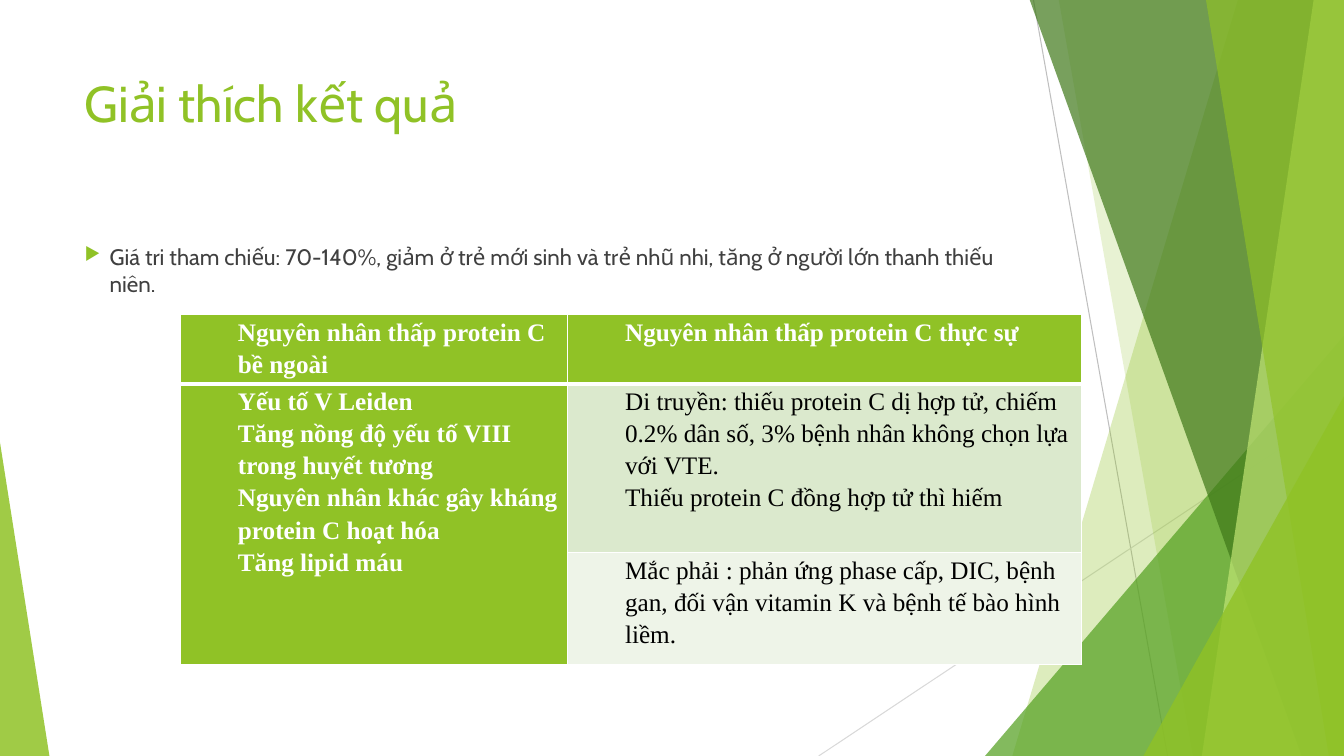
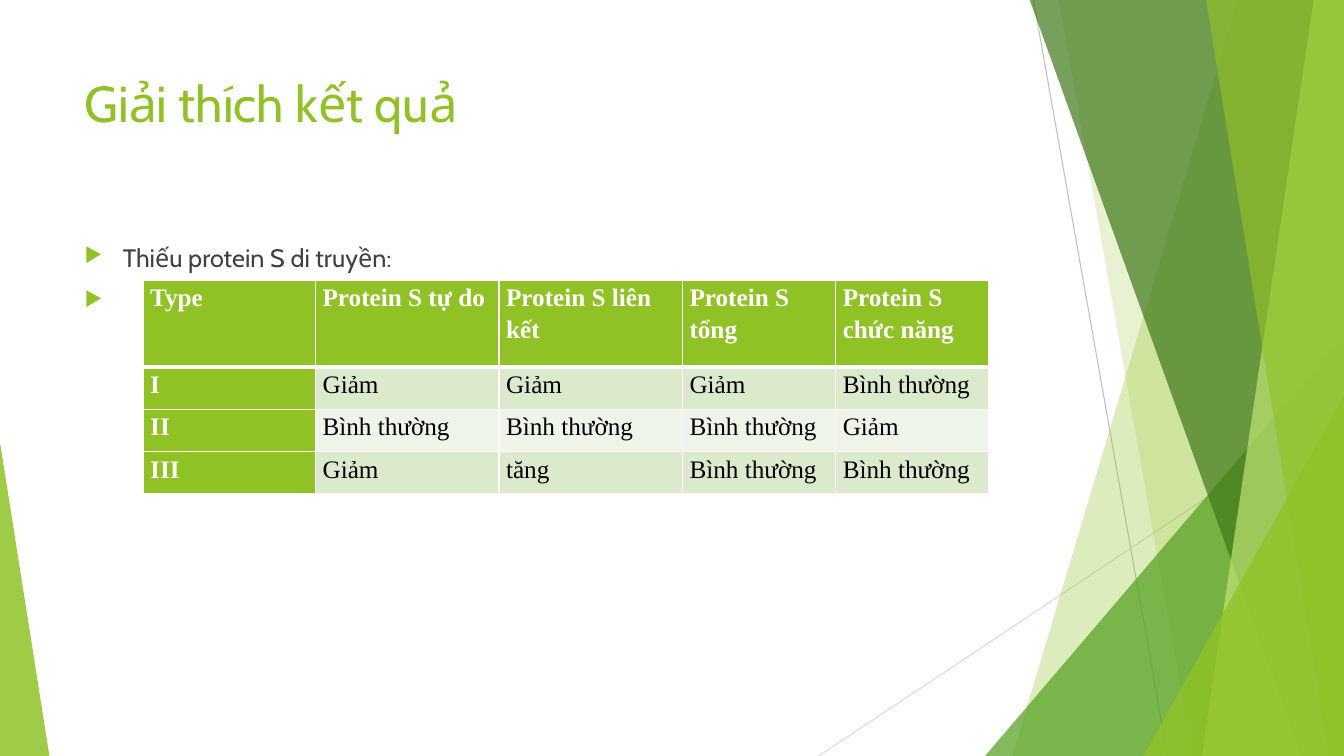
from lxml import etree
from pptx import Presentation, util as u
from pptx.dml.color import RGBColor
from pptx.enum import shapes, text
from pptx.oxml.ns import qn

PX = 9144  # EMU per px, 100 px to the inch


class Theme:
    lime, leaf, moss, pale = "90C226", "54A021", "3F7819", "C0E474"
    white, black, ink = "FFFFFF", "000000", "404040"
    bands = ("DBE9CD", "EEF4E8")
    sans, serif = "Cabin", "Times New Roman"
    title, body, small = 36, 18, 16


def px(n):
    return u.Emu(n * PX)


def sub(node, tag, **attrs):
    return etree.SubElement(node, qn(tag), attrs)


def write(frame, lines, font=Theme.sans, size=Theme.body, color=Theme.ink,
          bold=False, left=0, hang=0, bullet=None, gap=0, lead=None):
    """Fill a text frame with one paragraph per line."""
    lines = [lines] if isinstance(lines, str) else lines
    for i, line in enumerate(lines):
        para = frame.add_paragraph() if i else frame.paragraphs[0]
        props = para._p.get_or_add_pPr()
        props.set("marL", str(px(left)))
        props.set("indent", str(px(-hang)))
        if bullet:
            sub(sub(props, "a:buClr"), "a:srgbClr", val=Theme.lime)
            sub(props, "a:buSzPct", val="80000")
            sub(props, "a:buChar", char=bullet)
        if i and gap:
            para.space_before = u.Pt(gap)
        if lead:
            para.line_spacing = lead
        run = para.add_run()
        run.text = line
        run.font.name, run.font.size, run.font.bold = font, u.Pt(size), bold
        run.font.color.rgb = RGBColor.from_string(color)


class Deck:
    def __init__(self):
        self.prs = Presentation()
        self.prs.slide_width, self.prs.slide_height = px(1333), px(750)

    def page(self, title):
        self.slide = self.prs.slides.add_slide(self.prs.slide_layouts[6])
        self.items = self.slide.shapes
        self.decor()
        self.label(74, 67, 940, 144, title, size=Theme.title, color=Theme.lime)

    def paint(self, shape, color, alpha):
        shape.shadow.inherit = False
        shape.line.fill.background()
        shape.fill.solid()
        shape.fill.fore_color.rgb = RGBColor.from_string(color)
        tint = shape.fill._xPr.find(".//" + qn("a:srgbClr"))
        sub(tint, "a:alpha", val=str(alpha * 1000))

    def line(self, x1, y1, x2, y2, color):
        rule = self.items.add_connector(
            shapes.MSO_CONNECTOR.STRAIGHT, px(x1), px(y1), px(x2), px(y2))
        rule.line.color.rgb = RGBColor.from_string(color)
        rule.line.width = u.Pt(0.75)
        sub(rule._element.spPr, "a:effectLst")

    def shard(self, top, right, foot, base, color, alpha):
        """Full-height band that runs to the right edge of the slide."""
        form = self.items.build_freeform(top, -1, scale=PX)
        form.add_line_segments([(right, -1), (right, 750), (foot, 750)])
        form.add_line_segments([(top, -1)], close=True)
        self.paint(form.convert_to_shape(), color, alpha)

    def wedge(self, x, y, w, h, tip, color, alpha):
        shape = self.items.add_shape(
            shapes.MSO_SHAPE.ISOSCELES_TRIANGLE, px(x), px(y), px(w), px(h))
        shape.adjustments[0] = tip
        self.paint(shape, color, alpha)

    def decor(self):
        t = Theme
        self.line(1025, 0, 1158, 750, "BFBFBF")
        self.line(1333, 403, 812, 750, "D9D9D9")
        # Translucent facets, back to front
        self.shard(1228, 1333, 1004, 750, t.lime, 30)
        self.shard(1050, 1333, 1183, 750, t.lime, 20)
        self.wedge(977, 333, 356, 417, 1, t.leaf, 72)
        self.shard(1021, 1333, 1291, 750, t.moss, 70)
        self.shard(1303, 1333, 1192, 750, t.pale, 70)
        self.shard(1196, 1333, 1318, 750, t.lime, 65)
        self.wedge(1134, 393, 199, 357, 1, t.lime, 80)
        self.wedge(0, 439, 49, 311, 0, t.lime, 85)

    def label(self, x, y, w, h, lines, **style):
        frame = self.items.add_textbox(px(x), px(y), px(w), px(h)).text_frame
        frame.word_wrap = True
        frame.vertical_anchor = text.MSO_ANCHOR.TOP
        write(frame, lines, **style)

    def bullets(self, lines, **style):
        self.label(74, 236, 940, 424, lines, bullet="▶", gap=10, **style)

    def edges(self, cell, row):
        """White grid, heavier under the header row."""
        props = cell._tc.get_or_add_tcPr()
        wide = {"T": row == 1, "B": row == 0}
        for side in "LRTB":
            width = u.Pt(3 if wide.get(side) else 1)
            edge = sub(props, "a:ln" + side, w=str(width))
            sub(sub(edge, "a:solidFill"), "a:srgbClr", val=Theme.white)

    def table(self, x, y, cols, rows, data, merge=(), left=0):
        grid = self.items.add_table(len(rows), len(cols), px(x), px(y),
                                    px(sum(cols)), px(sum(rows))).table
        grid.first_row = grid.horz_banding = False
        for col, w in zip(grid.columns, cols):
            col.width = px(w)
        for row, h in zip(grid.rows, rows):
            row.height = px(h)
        for r, line in enumerate(data):
            for c, words in enumerate(line):
                cell = grid.cell(r, c)
                head = r == 0 or c == 0
                cell.margin_left = cell.margin_right = px(7)
                cell.margin_top = cell.margin_bottom = 0
                self.edges(cell, r)
                cell.fill.solid()
                cell.fill.fore_color.rgb = RGBColor.from_string(
                    Theme.lime if head else Theme.bands[(r - 1) % 2])
                if words:
                    write(cell.text_frame, words, font=Theme.serif, bold=head,
                          color=Theme.white if head else Theme.black,
                          left=left, lead=1.15)
        for start, end in merge:
            grid.cell(*start).merge(grid.cell(*end))


def main():
    deck = Deck()
    title = "Giải thích kết quả"

    # Protein C: reference values and causes
    deck.page(title)
    deck.bullets("Giá tri tham chiếu: 70-140%, giảm ở trẻ mới sinh và trẻ nhũ "
                 "nhi, tăng ở người lớn thanh thiếu niên.",
                 size=Theme.small, left=25, hang=25)
    deck.table(179, 312, [384, 510], [55, 167, 111], [
        ["Nguyên nhân thấp protein C bề ngoài",
         "Nguyên nhân thấp protein C thực sự"],
        [["Yếu tố V Leiden",
          "Tăng nồng độ yếu tố VIII trong huyết tương",
          "Nguyên nhân khác gây kháng protein C hoạt hóa",
          "Tăng lipid máu"],
         ["Di truyền: thiếu protein C dị hợp tử, chiếm 0.2% dân số, "
          "3% bệnh nhân không chọn lựa với VTE.",
          "Thiếu protein C đồng hợp tử thì hiếm"]],
        [None, "Mắc phải : phản ứng phase cấp, DIC, bệnh gan, đối vận "
               "vitamin K và bệnh tế bào hình liềm."],
    ], merge=[((1, 0), (2, 0))], left=50)

    # Protein S: inherited deficiency types
    deck.page(title)
    deck.bullets(["Thiếu protein S di truyền:", " "], left=38, hang=38)
    low, norm = "Giảm", "Bình thường"
    deck.table(142, 278, [171, 182, 182, 152, 152], [86, 42, 42, 42], [
        ["Type", "Protein S tự do", "Protein S liên kết", "Protein S tổng",
         "Protein S chức năng"],
        ["I", low, low, low, norm],
        ["II", norm, norm, norm, low],
        ["III", low, "tăng", norm, norm],
    ])
    deck.prs.save("out.pptx")


if __name__ == "__main__":
    main()
